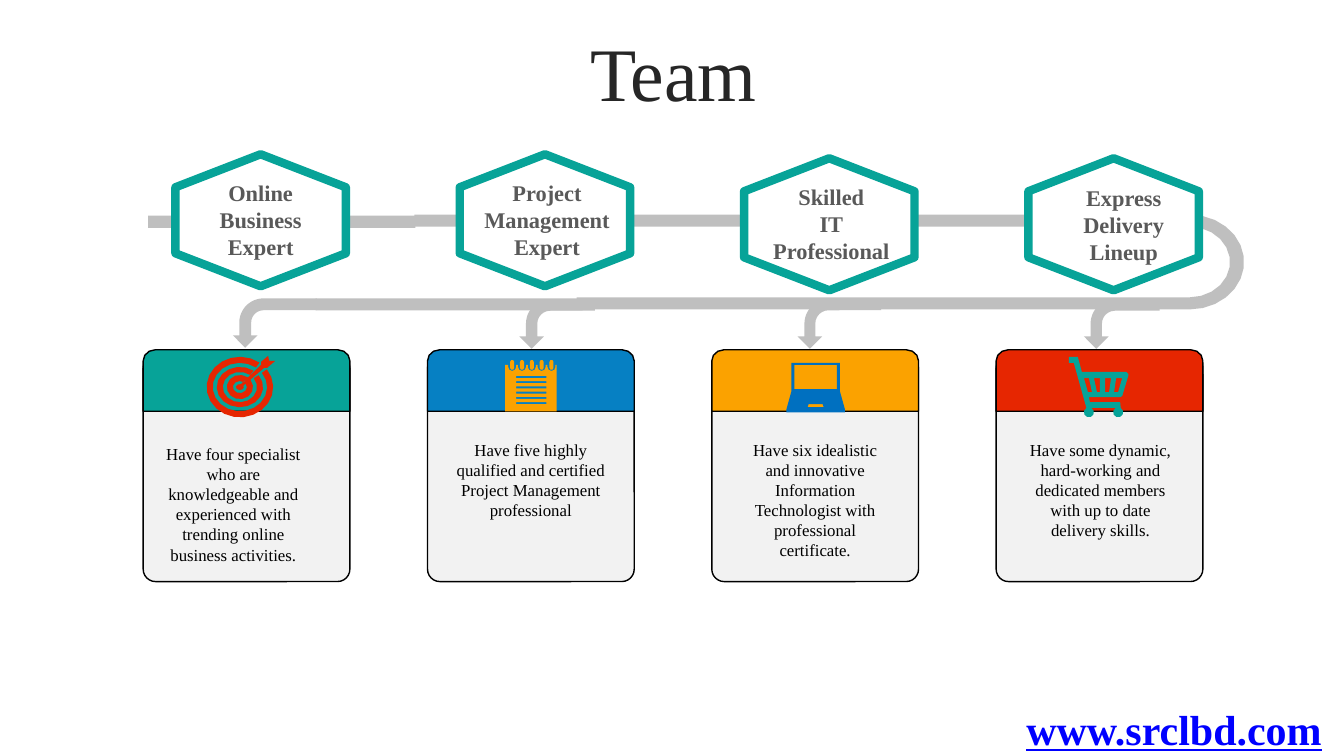
"""Build the Team slide: four roles on a pipeline, each leading to a card."""
from math import cos, radians, sin, sqrt

from pptx import Presentation
from pptx.dml.color import RGBColor
from pptx.enum.shapes import MSO_SHAPE
from pptx.enum.text import MSO_ANCHOR, PP_ALIGN
from pptx.oxml.ns import qn
from pptx.util import Inches, Pt

FONT = "Times New Roman"
WHITE = RGBColor(0xFF, 0xFF, 0xFF)
BLACK = RGBColor(0x00, 0x00, 0x00)
INK = RGBColor(0x26, 0x26, 0x26)
SLATE = RGBColor(0x59, 0x59, 0x59)
PIPE = RGBColor(0xBF, 0xBF, 0xBF)
PALE = RGBColor(0xF2, 0xF2, 0xF2)
TEAL = RGBColor(0x07, 0xA3, 0x98)
BLUE = RGBColor(0x06, 0x80, 0xC3)
ORANGE = RGBColor(0xFB, 0xA2, 0x00)
RED = RGBColor(0xE6, 0x26, 0x01)
LAPTOP_BLUE = RGBColor(0x00, 0x70, 0xC0)
LINK_BLUE = RGBColor(0x00, 0x00, 0xFF)

prs = Presentation()
prs.slide_width, prs.slide_height = Inches(13.33), Inches(7.5)
s = prs.slides.add_slide(prs.slide_layouts[5])


def write(sp, text, size, color, align=PP_ALIGN.CENTER, bold=False, underline=False):
    """Fill a shape with formatted text, one paragraph per line."""
    tf = sp.text_frame
    tf.word_wrap = True
    tf.text = text
    for p in tf.paragraphs:
        p.alignment = align
        for r in p.runs:
            r.font.name, r.font.size = FONT, Pt(size)
            r.font.bold, r.font.underline = bold, underline
            r.font.color.rgb = color
    return tf


def draw(form, fill, box=None, line=None, width=1):
    """Draw a preset in a box, or contours of points (x, y) and arcs (cx, cy, rx, ry, from, to)."""
    if box:
        sp = s.shapes.add_shape(form, *[Inches(v) for v in box])
    else:
        builder = None
        for contour in form:
            points = []
            for part in contour:
                if len(part) == 2:
                    points.append(part)
                    continue
                cx, cy, rx, ry, start, end = part
                steps = max(2, round(abs(end - start) * sqrt(rx) / 10))
                angles = [radians(start + (end - start) * k / steps) for k in range(steps + 1)]
                points += [(cx + rx * cos(a), cy + ry * sin(a)) for a in angles]
            points = [(Inches(x), Inches(y)) for x, y in points]
            if builder is None:
                builder = s.shapes.build_freeform(*points[0])
            else:
                builder.move_to(*points[0])
            builder.add_line_segments(points[1:], close=True)
        sp = builder.convert_to_shape()
    sp.shadow.inherit = False
    sp.fill.solid()
    sp.fill.fore_color.rgb = fill
    if line is None:
        sp.line.fill.background()
    else:
        sp.line.color.rgb = line
        sp.line.width = Pt(width)
    return sp


title = s.shapes.title
title.left, title.top, title.width, title.height = [Inches(v) for v in (0.35, 0.37, 12.66, 0.79)]
tf = write(title, "Team", 54, INK)
tf.vertical_anchor = MSO_ANCHOR.MIDDLE
tf.paragraphs[0].line_spacing = 0.9

for x, y in [(1.47, 2.14), (3.13, 2.96)]:
    draw(MSO_SHAPE.RECTANGLE, PIPE, (x, y, 2.65, 0.12))
draw([[(4.11, 2.13), (11.8, 2.6, 0.54, 0.47, -90, 90), (5.72, 3.07), (5.72, 2.95),
       (11.8, 2.6, 0.4, 0.35, 90, -90), (4.11, 2.25)]], PIPE)

for x, y, height, stem in [(2.48, 2.79, 0.83, 0.24), (5.28, 2.84, 0.75, 0.23),
                           (8.08, 2.8, 0.83, 0.22), (10.88, 2.84, 0.75, 0.23)]:
    arrow = draw(MSO_SHAPE.BENT_ARROW, PIPE, (x, y, 0.49, height))
    for i, value in enumerate([stem, 0.25, 0.25, 0.49]):
        arrow.adjustments[i] = value
    arrow.rotation = 270
    arrow._element.spPr.find(qn("a:xfrm")).set("flipH", "1")

roles = [
    ("Online Business Expert", 1.34, 1.74, 1.73, TEAL, 1.47, 4.35,
     "Have four specialist who are knowledgeable and experienced with trending online "
     "business activities."),
    ("Project Management Expert", 1.34, 4.58, 1.73, BLUE, 4.42, 4.31,
     "Have five highly qualified and certified Project Management professional"),
    ("Skilled\nIT\nProfessional", 1.38, 7.4, 1.77, ORANGE, 7.24, 4.31,
     "Have six idealistic and innovative Information Technologist with professional "
     "certificate."),
    ("Express Delivery Lineup", 1.38, 10.3, 1.78, RED, 10.07, 4.31,
     "Have some dynamic, hard-working and dedicated members with up to date delivery skills."),
]
for i, (role, hex_y, role_x, role_y, color, text_x, text_y, text) in enumerate(roles):
    hexagon = draw(MSO_SHAPE.HEXAGON, WHITE, (1.93 + 2.82 * i, hex_y, 1.31, 1.69), TEAL, 6)
    hexagon.rotation = 270
    x = 1.42 + 2.82 * i
    card = draw(MSO_SHAPE.ROUNDED_RECTANGLE, PALE, (x, 3.53, 2.05, 2.24), BLACK)
    card.adjustments[0] = 0.06
    draw([[(x + 0.12, 3.58, 0.12, 0.11, 180, 270), (x + 1.93, 3.58, 0.12, 0.11, 270, 360),
           (x + 2.05, 4.08), (x, 4.08)]], color, line=BLACK)
    role_box = s.shapes.add_textbox(Inches(role_x), Inches(role_y), Inches(1.69), Inches(0.91))
    write(role_box, role, 16, SLATE, bold=True)
    text_box = s.shapes.add_textbox(Inches(text_x), Inches(text_y), Inches(1.69), Inches(1.31))
    write(text_box, text, 12, BLACK)

target = [[(2.38, 3.84, ox, oy, -36, 306), (2.38, 3.84, ix, iy, 306, -36)]
          for ox, oy, ix, iy in [(0.33, 0.3, 0.27, 0.24), (0.23, 0.2, 0.17, 0.15),
                                 (0.13, 0.12, 0.07, 0.06)]]
target.append([(2.66, 3.53), (2.67, 3.58), (2.73, 3.58), (2.65, 3.65), (2.62, 3.65),
               (2.41, 3.83), (2.38, 3.84, 0.04, 0.03, 0, 285), (2.59, 3.62), (2.59, 3.59)])
draw(target, RED)

ring_xs = [5.08 + 0.0975 * i for i in range(5)]
page = [(5.01, 4.08), (5.01, 3.62)]
for x in ring_xs:
    page += [(x - 0.04, 3.62), (x, 3.64, 0.04, 0.04, 180, 0), (x + 0.04, 3.62)]
notepad = [page + [(5.52, 3.62), (5.52, 4.08)]]
notepad += [[(x, 3.59, 0.02, 0.02, 180, 360), (x, 3.65, 0.02, 0.02, 0, 180)] for x in ring_xs]
for i in range(6):
    y = 3.73 + 0.052 * i
    notepad.append([(5.12, y), (5.42, y), (5.42, y + 0.02), (5.12, y + 0.02)])
draw(notepad, ORANGE)

draw([[(8.02, 4.01), (8.01, 4.04), (8.17, 4.04), (8.16, 4.01)],
      [(7.88, 3.62), (7.88, 3.86), (8.3, 3.86), (8.3, 3.62)],
      [(7.85, 3.6), (8.33, 3.6), (8.33, 3.88), (8.38, 4.06), (8.38, 4.09), (7.8, 4.09),
       (7.8, 4.06), (7.85, 3.88)]], LAPTOP_BLUE)

draw([[(11.07, 3.75), (11.05, 3.89), (11.09, 3.89), (11.13, 3.75)],
      [(10.96, 3.75), (10.96, 3.89), (11, 3.89), (11.02, 3.75)],
      [(10.85, 3.75), (10.88, 3.89), (10.91, 3.89), (10.91, 3.75)],
      [(10.75, 3.75), (10.79, 3.89), (10.83, 3.89), (10.8, 3.75)],
      [(10.6, 3.54), (10.69, 3.54), (10.73, 3.69), (11.17, 3.69), (11.19, 3.71), (11.19, 3.73),
       (11.13, 3.93), (11.11, 3.94), (10.8, 3.94), (10.81, 3.99), (11.11, 3.99),
       (11.09, 4.09, 0.05, 0.05, -60, 240), (10.8, 4.09, 0.05, 0.05, -60, 240),
       (10.65, 3.6), (10.6, 3.6)]], TEAL)

link_box = s.shapes.add_textbox(Inches(10.08), Inches(6.93), Inches(3.13), Inches(0.61))
write(link_box, "www.srclbd.com", 30, LINK_BLUE, PP_ALIGN.RIGHT, bold=True, underline=True)

prs.save("out.pptx")
